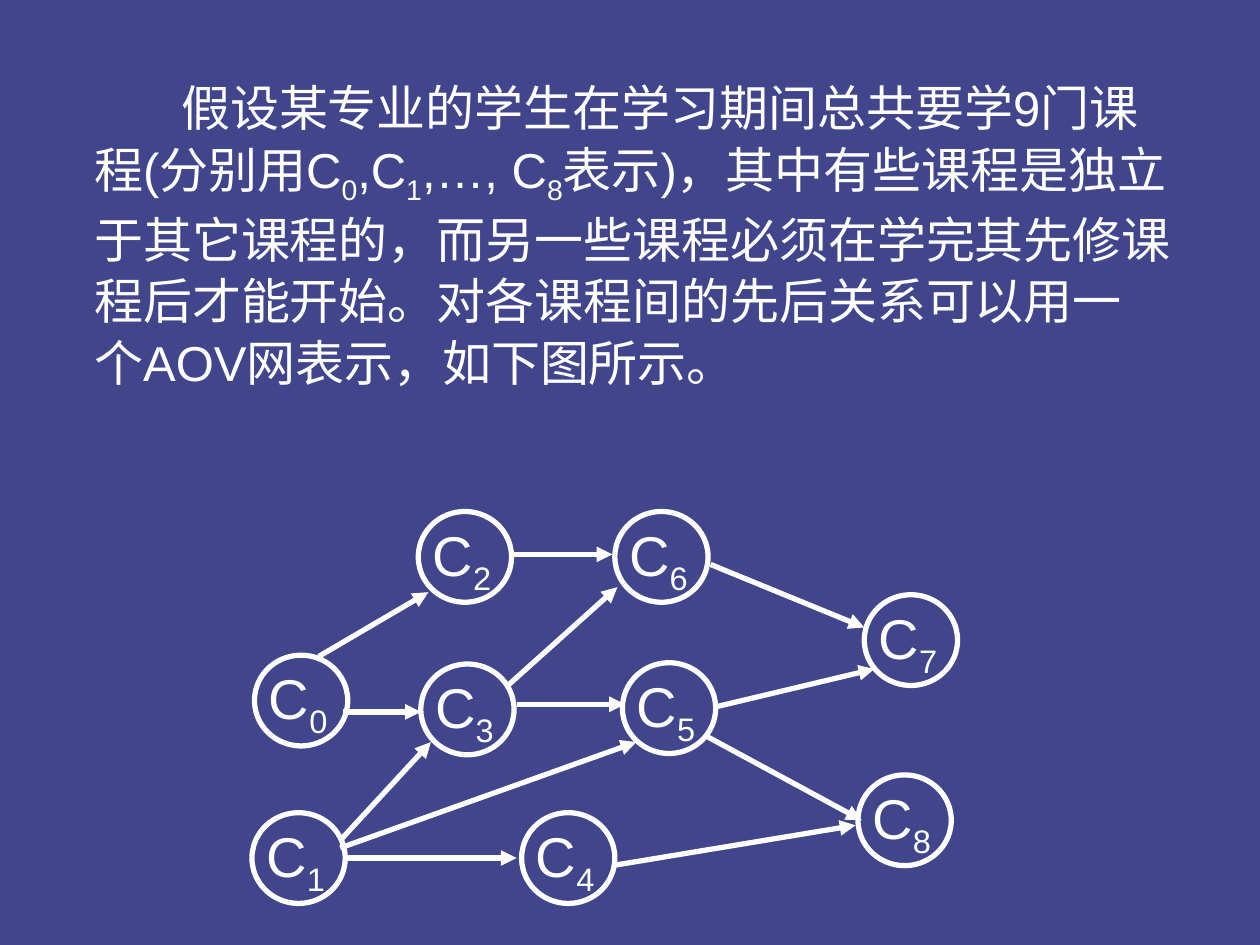
"""Build the slide that shows course prerequisites as an AOV network."""
import pptx
import pptx.dml.color
import pptx.enum.shapes
import pptx.enum.text
import pptx.oxml
import pptx.oxml.ns
import pptx.util

COLORS = {"background": "40458C", "ink": "FFFFFF"}
COLS, ROWS = 100, 75
NODE_W, NODE_H = 7.4, 7.2

INTRO = (
    "假设某专业的学生在学习期间总共要学9门课程(分别用C|0|,C|1|,…, C|8|"
    "表示)，其中有些课程是独立于其它课程的，而另一些课程必须在学完其先修课程后才能开始。"
    "对各课程间的先后关系可以用一 个AOV网表示，如下图所示。"
)

COURSES = {
    2: (33.2, 40.6), 6: (48.8, 40.6), 0: (20.2, 52), 3: (33.4, 52.7), 1: (20, 64.5),
    5: (49.4, 52.6), 4: (41.4, 64.5), 7: (68.6, 47.2), 8: (68.1, 61.5),
}

PREREQUISITES = [
    ((25.3, 52.1), (34, 47)),
    ((40.4, 44), (48.6, 44)),
    ((56.4, 44.8), (68.6, 49.8)),
    ((27.2, 56.5), (33.4, 56.5)),
    ((27, 66.7), (34.2, 58.9)),
    ((27.2, 68.1), (41, 68.1)),
    ((27, 67.3), (50.5, 58.9)),
    ((41, 55.9), (49.6, 55.9)),
    ((56.2, 58.5), (68.4, 65.1)),
    ((48.6, 68.7), (67.9, 65.5)),
    ((56.8, 56.1), (69.4, 53.1)),
    ((40.2, 54.5), (49, 46.6)),
]


class Deck:
    """Hold the style and the current slide, and draw elements on a grid."""

    def __init__(self):
        """Start a presentation with one blank, coloured slide."""
        self.prs = pptx.Presentation()
        self.prs.slide_width = pptx.util.Inches(10)
        self.prs.slide_height = pptx.util.Inches(7.5)
        self.s = self.prs.slides.add_slide(self.prs.slide_layouts[6])
        fill = self.s.background.fill
        fill.solid()
        fill.fore_color.rgb = self.color("background")

    def color(self, name):
        """Return a named colour."""
        return pptx.dml.color.RGBColor.from_string(COLORS[name])

    def x(self, cols):
        """Turn columns into a length."""
        return round(self.prs.slide_width * cols / COLS)

    def y(self, rows):
        """Turn rows into a length."""
        return round(self.prs.slide_height * rows / ROWS)

    def box(self, left, top, width, height):
        """Turn a grid box into lengths."""
        return self.x(left), self.y(top), self.x(width), self.y(height)

    def outline(self, line):
        """Give a line the common colour and width."""
        line.color.rgb = self.color("ink")
        line.width = pptx.util.Pt(3)

    def text(self, box, marked, size, spacing=None, indent=0):
        """Add a text box; every second part between bars is a subscript."""
        tf = self.s.shapes.add_textbox(*self.box(*box)).text_frame
        frame = {"word_wrap": True, "auto_size": pptx.enum.text.MSO_AUTO_SIZE.SHAPE_TO_FIT_TEXT}
        for name, value in frame.items():
            setattr(tf, name, value)
        p = tf.paragraphs[0]
        p.line_spacing = spacing
        if indent:
            p._p.get_or_add_pPr().set("indent", str(self.x(indent)))
        for i, part in enumerate(marked.split("|")):
            r = p.add_run()
            r.text = part
            for name, value in {"name": "Arial", "size": pptx.util.Pt(size)}.items():
                setattr(r.font, name, value)
            r.font.color.rgb = self.color("ink")
            if i % 2:
                r._r.get_or_add_rPr().set("baseline", "-25000")

    def node(self, number, left, top):
        """Add a course circle with its label."""
        sp = self.s.shapes.add_shape(
            pptx.enum.shapes.MSO_SHAPE.OVAL, *self.box(left, top, NODE_W, NODE_H))
        sp.shadow.inherit = False
        sp.fill.background()
        self.outline(sp.line)
        self.text((left + 0.15, top + 0.2, 7.2, 7.1), f"C|{number}", 32)

    def arrow(self, start, end):
        """Add a straight arrow between two grid points."""
        cx = self.s.shapes.add_connector(
            pptx.enum.shapes.MSO_CONNECTOR.STRAIGHT,
            self.x(start[0]), self.y(start[1]), self.x(end[0]), self.y(end[1]))
        self.outline(cx.line)
        tail = pptx.oxml.parse_xml(
            f'<a:tailEnd {pptx.oxml.ns.nsdecls("a")} type="triangle"/>')
        cx.line._get_or_add_ln().append(tail)
        cx._element.spPr.append(
            pptx.oxml.parse_xml(f'<a:effectLst {pptx.oxml.ns.nsdecls("a")}/>'))


def main():
    """Draw the introduction and the network, then save."""
    deck = Deck()
    deck.text((6.5, 5.4, 88, 26.2), INTRO, 28, spacing=1.05, indent=6.9)
    for number, corner in COURSES.items():
        deck.node(number, *corner)
    for start, end in PREREQUISITES:
        deck.arrow(start, end)
    deck.prs.save("out.pptx")


if __name__ == "__main__":
    main()
